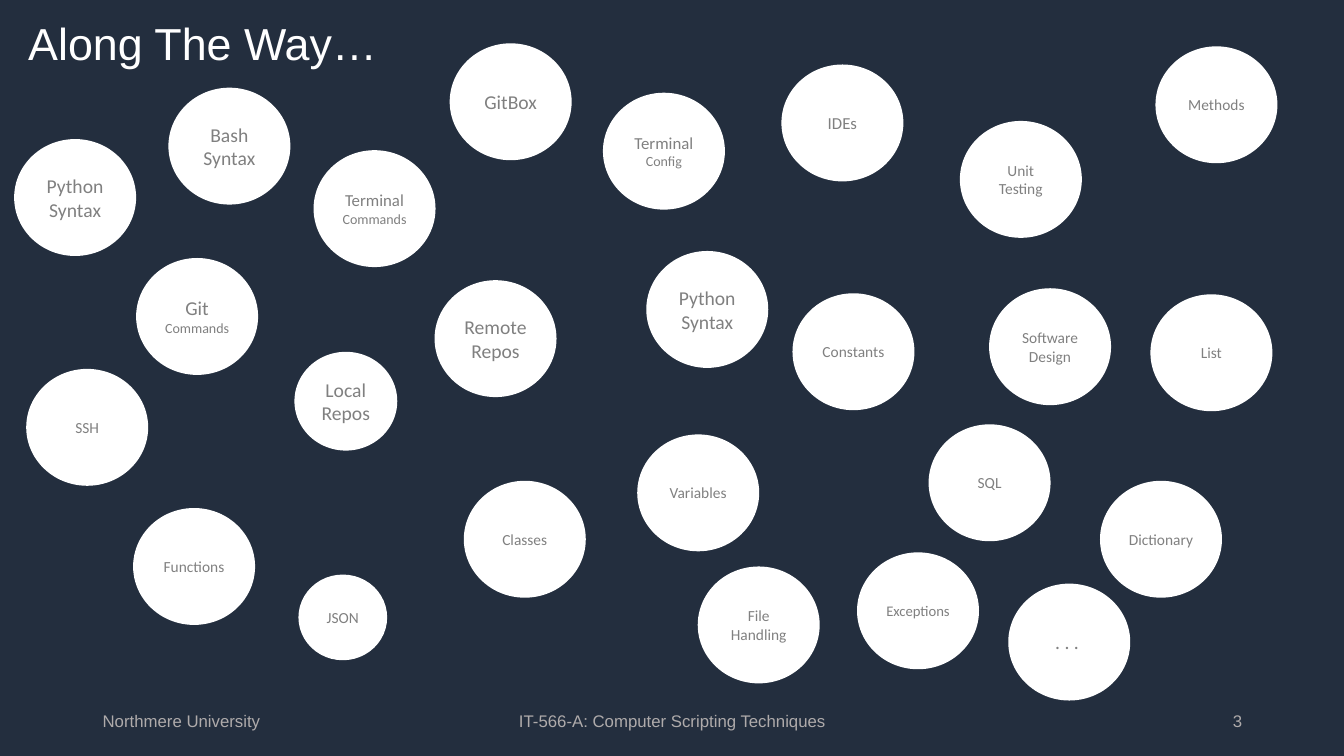
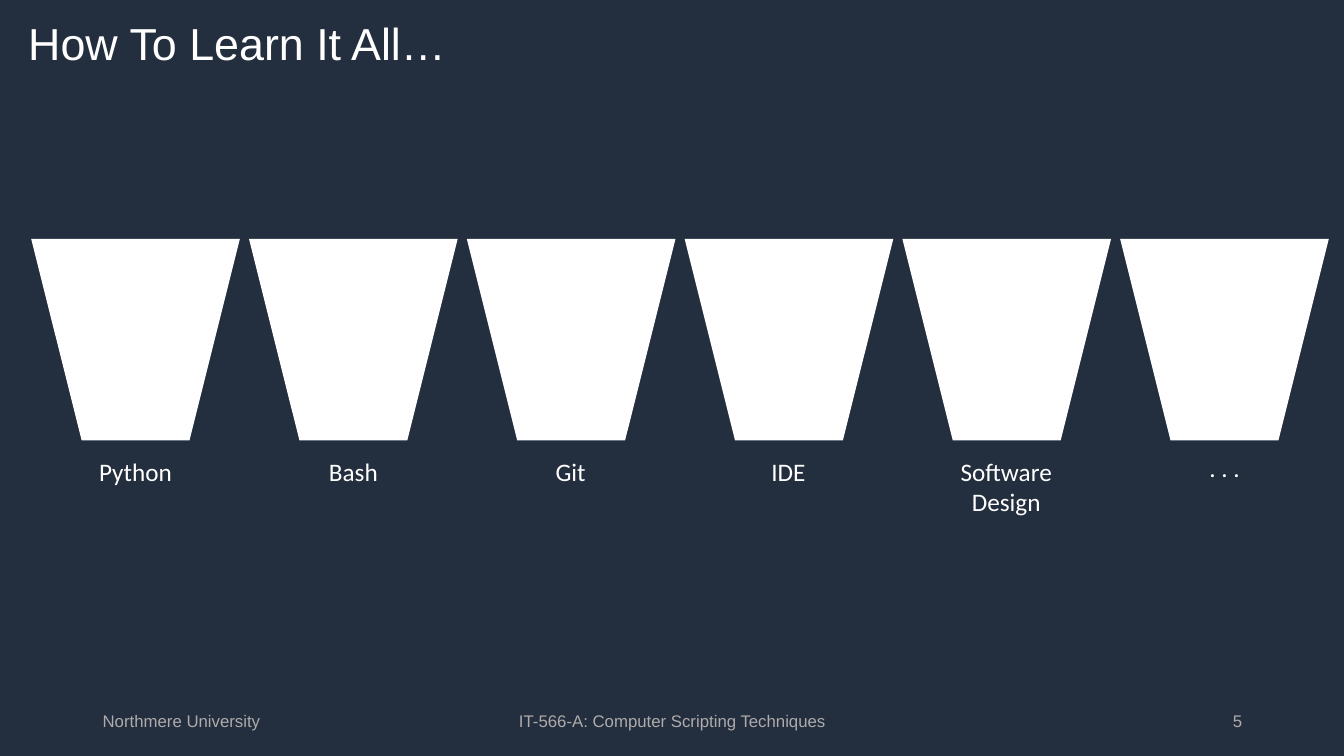
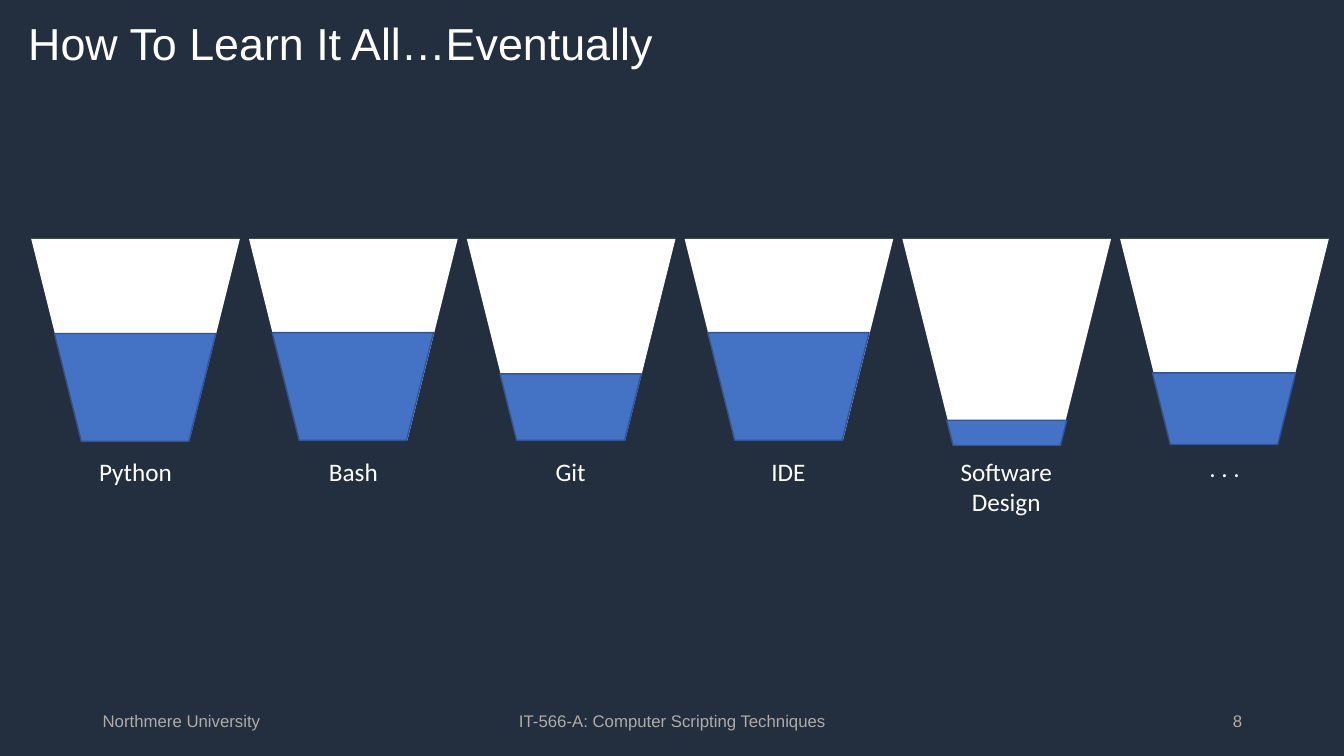
from copy import deepcopy

from pptx import Presentation
from pptx.dml.color import RGBColor
from pptx.enum.shapes import MSO_SHAPE
from pptx.enum.text import MSO_ANCHOR, MSO_AUTO_SIZE, PP_ALIGN
from pptx.util import Emu, Pt

PX = 9144  # 100 px to the inch
SLIDE_SIZE = (1333, 750)

NAVY, WHITE, GREY, SILVER = "232E3E", "FFFFFF", "808080", "AFABAB"
WATER, WATER_EDGE = "4472C4", "325491"

FOOTER_TOP, FOOTER_HEIGHT = 695, 40
BUCKET_WIDTH, BUCKET_HEIGHT, BUCKET_PITCH = 207, 200, 216
BASE_WIDTH = 107
BUCKET_ROW = (31, 237)

# left, top, text size, lines; a line may carry its own size
TOPICS = [
    (14, 138, 14, ["Python", "Syntax"]),
    (167, 87, 14, ["Bash", "Syntax"]),
    (135, 256, 14, ["Git", ("Commands", 10)]),
    (311, 149, 12, ["Terminal", ("Commands", 10)]),
    (446, 43, 14, ["GitBox"]),
    (431, 278, 14, ["Remote", "Repos"]),
    (641, 249, 14, ["Python", "Syntax"]),
    (598, 92, 12, ["Terminal", ("Config", 10)]),
    (775, 64, 12, ["IDEs"]),
    (132, 504, 11, ["Functions"]),
    (460, 477, 11, ["Classes"]),
    (632, 431, 11, ["Variables"]),
    (786, 291, 11, ["Constants"]),
    (952, 120, 11, ["Unit", "Testing"]),
    (981, 286, 11, ["Software", "Design"]),
    (921, 421, 11, ["SQL"]),
    (1141, 292, 11, ["List"]),
    (1146, 46, 11, ["Methods"]),
    (1091, 477, 11, ["Dictionary"]),
    (850, 548, 10.5, ["Exceptions"]),
    (26, 366, 11, ["SSH"]),
    (692, 562, 11, ["File", "Handling"]),
    (1000, 579, 14, [". . . "]),
]
SMALL_TOPICS = [
    (292, 349, 102, 98, 14, ["Local", "Repos"]),
    (296, 570, 88, 85, 11, ["JSON"]),
]

# lines, then the label's top below the bucket's top, width and height
SUBJECTS = [
    (["Python"], 211, 93, 40),
    (["Bash"], 211, 69, 40),
    (["Git"], 211, 50, 40),
    (["IDE"], 211, 54, 40),
    (["Software", "Design"], 211, 112, 71),
    ([". . ."], 207, 51, 40),
]
# water depth and how far it reaches below the bucket's base
WATER_LEVELS = [(107, 1), (107, 0), (66, 0), (107, 0), (25, 5), (71, 4)]


def rgb(hex_code):
    return RGBColor.from_string(hex_code)


def emu(*lengths):
    return [Emu(length * PX) for length in lengths]


def write(shape, lines, size=12, font="Arial", color=WHITE, align=PP_ALIGN.LEFT,
          anchor=MSO_ANCHOR.MIDDLE, wrap=True, fit=MSO_AUTO_SIZE.NONE, spacing=None):
    """Fill a shape with one paragraph of lines parted by line breaks."""
    frame = shape.text_frame
    frame.word_wrap, frame.auto_size, frame.vertical_anchor = wrap, fit, anchor
    paragraph = frame.paragraphs[0]
    paragraph.alignment = align
    paragraph.line_spacing = spacing
    for index, line in enumerate(lines):
        words, points = line if isinstance(line, tuple) else (line, size)
        if index:
            paragraph.add_line_break()
            # the break takes the format of the line it ends
            paragraph._p[-1].append(deepcopy(run._r.rPr))
        run = paragraph.add_run()
        run.text = words
        run.font.size, run.font.name = Pt(points), font
        run.font.color.rgb = rgb(color)


def add_text(slide, box, lines, **style):
    write(slide.shapes.add_textbox(*emu(*box)), lines, **style)


def add_solid(slide, preset, box, fill, edge=None):
    solid = slide.shapes.add_shape(preset, *emu(*box))
    solid.shadow.inherit = False
    solid.fill.solid()
    solid.fill.fore_color.rgb = rgb(fill)
    if edge:
        solid.line.color.rgb = rgb(edge)
        solid.line.width = Pt(1)
    else:
        solid.line.fill.background()
    return solid


def add_tapered(slide, box, fill, edge=None):
    """Draw a trapezoid with its wide side on top."""
    tapered = add_solid(slide, MSO_SHAPE.TRAPEZOID, box, fill, edge)
    tapered._element.spPr.xfrm.set("flipV", "1")


def start_slide(deck, heading, number):
    slide = deck.slides.add_slide(deck.slide_layouts[5])
    title = slide.shapes.title
    title.left, title.top, title.width, title.height = emu(18, 15, 1299, 61)
    write(title, [heading], size=32, spacing=0.9)
    for left, width, words, align in [
        (92, 300, "Northmere University", PP_ALIGN.LEFT),
        (442, 450, "IT-566-A: Computer Scripting Techniques", PP_ALIGN.CENTER),
        (942, 300, str(number), PP_ALIGN.RIGHT),
    ]:
        add_text(slide, (left, FOOTER_TOP, width, FOOTER_HEIGHT), [words],
                 color=SILVER, align=align)
    return slide


def add_topic(slide, box, size, lines):
    bubble = add_solid(slide, MSO_SHAPE.OVAL, box, WHITE)
    write(bubble, lines, size=size, font="Calibri", color=GREY, align=PP_ALIGN.CENTER)


def add_bucket(slide, left, top, subject, water=None):
    """Draw a labelled bucket, filled if water gives a depth and a drop."""
    lines, label_top, label_width, label_height = subject
    add_tapered(slide, (left, top, BUCKET_WIDTH, BUCKET_HEIGHT), WHITE)
    if water:
        depth, drop = water
        width = BASE_WIDTH + depth // 2
        add_tapered(slide, (left + (BUCKET_WIDTH - width) // 2,
                            top + BUCKET_HEIGHT + drop - depth, width, depth),
                    WATER, WATER_EDGE)
    add_text(slide, (left + (BUCKET_WIDTH - label_width) // 2, top + label_top,
                     label_width, label_height),
             lines, size=18, font="Calibri", align=PP_ALIGN.CENTER,
             anchor=MSO_ANCHOR.TOP, wrap=False, fit=MSO_AUTO_SIZE.SHAPE_TO_FIT_TEXT)


def topics_slide(deck, heading, number):
    slide = start_slide(deck, heading, number)
    for left, top, size, lines in TOPICS:
        add_topic(slide, (left, top, 121, 116), size, lines)
    for *box, size, lines in SMALL_TOPICS:
        add_topic(slide, box, size, lines)


def buckets_slide(deck, heading, number, levels):
    slide = start_slide(deck, heading, number)
    left, top = BUCKET_ROW
    for index, (subject, water) in enumerate(zip(SUBJECTS, levels)):
        add_bucket(slide, left + index * BUCKET_PITCH, top, subject, water)


def main():
    deck = Presentation()
    deck.slide_width, deck.slide_height = emu(*SLIDE_SIZE)
    backdrop = deck.slide_master.background.fill
    backdrop.solid()
    backdrop.fore_color.rgb = rgb(NAVY)
    topics_slide(deck, "Along The Way…", 3)
    buckets_slide(deck, "How To Learn It All…", 5, [None] * len(SUBJECTS))
    buckets_slide(deck, "How To Learn It All…Eventually", 8, WATER_LEVELS)
    deck.save("out.pptx")


if __name__ == "__main__":
    main()
